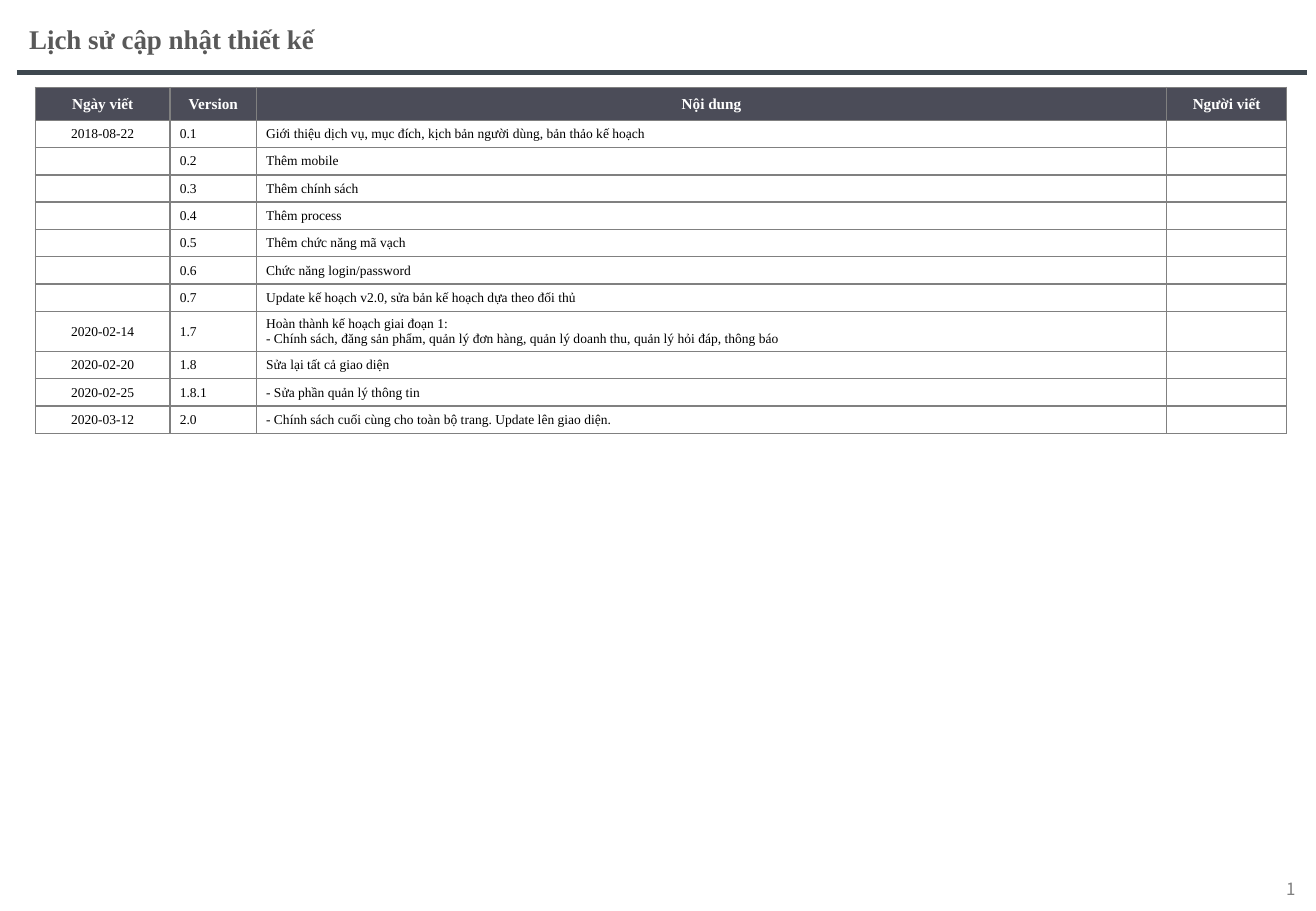
from lxml import etree
from pptx import Presentation
from pptx.dml.color import RGBColor
from pptx.enum.shapes import MSO_CONNECTOR
from pptx.enum.text import MSO_ANCHOR, MSO_AUTO_SIZE, PP_ALIGN
from pptx.oxml import parse_xml
from pptx.oxml.ns import nsdecls, qn
from pptx.util import Inches, Pt

SERIF = "Times New Roman"
SANS = "Noto Sans CJK KR"
HEADS = ["Ngày viết", "Version", "Nội dung", "Người viết"]
LOG = [
    ("2018-08-22", "0.1", "Giới thiệu dịch vụ, mục đích, kịch bản người dùng, bản thảo kế hoạch"),
    ("", "0.2", "Thêm mobile"),
    ("", "0.3", "Thêm chính sách"),
    ("", "0.4", "Thêm process"),
    ("", "0.5", "Thêm chức năng mã vạch"),
    ("", "0.6", "Chức năng login/password"),
    ("", "0.7", "Update kế hoạch v2.0, sửa bản kế hoạch dựa theo đối thủ"),
    ("2020-02-14", "1.7", "Hoàn thành kế hoạch giai đoạn 1:\n"
     "- Chính sách, đăng sản phẩm, quản lý đơn hàng, quản lý doanh thu, "
     "quản lý hỏi đáp, thông báo"),
    ("2020-02-20", "1.8", "Sửa lại tất cả giao diện"),
    ("2020-02-25", "1.8.1", "- Sửa phần quản lý thông tin"),
    ("2020-03-12", "2.0", "- Chính sách cuối cùng cho toàn bộ trang. Update lên giao diện."),
]
WIDTHS = [1.11, 0.71, 7.49, 0.99]
HEAD_H, TALL_H, TABLE_H = 0.27, 0.33, 2.85


def color(code):
    return RGBColor.from_string(code)


def style(font, size, code, bold=False, name=SERIF):
    font.name, font.size, font.bold = name, Pt(size), bold
    font.color.rgb = color(code)


def add_title(slide, left, top, width, height):
    title = slide.shapes.title
    title.left, title.top = Inches(left), Inches(top)
    title.width, title.height = Inches(width), Inches(height)
    frame = title.text_frame
    frame.text = "Lịch sử cập nhật thiết kế"
    frame.auto_size = MSO_AUTO_SIZE.NONE
    frame.vertical_anchor = MSO_ANCHOR.MIDDLE
    line = frame.paragraphs[0]
    line.alignment = PP_ALIGN.LEFT
    style(line.runs[0].font, 16, "595959", True)


def add_rule(slide, left, top, width):
    rule = slide.shapes.add_connector(
        MSO_CONNECTOR.STRAIGHT, Inches(left), Inches(top), Inches(left + width), Inches(top))
    rule.line.color.rgb = color("3E484F")
    rule.line.width = Pt(3)
    etree.SubElement(rule._element.spPr, qn("a:effectLst"))


def add_borders(cell, code, width):
    props = cell._tc.get_or_add_tcPr()
    for spot, side in enumerate(("lnL", "lnR", "lnT", "lnB")):
        props.insert(spot, parse_xml(
            f'<a:{side} {nsdecls("a")} w="{Pt(width)}"><a:solidFill>'
            f'<a:srgbClr val="{code}"/></a:solidFill></a:{side}>'))


def fill_cell(cell, text, head, center):
    size = 9 if head else 8
    cell.margin_left = cell.margin_right = Inches(0.08)
    cell.margin_top = cell.margin_bottom = Inches(0.04)
    cell.vertical_anchor = MSO_ANCHOR.MIDDLE
    cell.fill.solid()
    cell.fill.fore_color.rgb = color("4B4C58" if head else "FFFFFF")
    add_borders(cell, "808080", 1)
    cell.text_frame.text = text
    for line in cell.text_frame.paragraphs:
        line.alignment = PP_ALIGN.CENTER if center else PP_ALIGN.LEFT
        for run in line.runs:
            style(run.font, size, "FFFFFF" if head else "000000", head)
        if not line.runs:
            # Small end mark keeps empty cells from growing
            end = etree.SubElement(line._p, qn("a:endParaRPr"))
            end.set("sz", str(size * 100))


def add_log(slide, left, top):
    rows = [HEADS] + [(*entry, "") for entry in LOG]
    low = (TABLE_H - HEAD_H - TALL_H) / (len(LOG) - 1)
    table = slide.shapes.add_table(
        len(rows), len(HEADS), Inches(left), Inches(top),
        Inches(sum(WIDTHS)), Inches(TABLE_H)).table
    for column, width in zip(table.columns, WIDTHS):
        column.width = Inches(width)
    for r, row in enumerate(rows):
        tall = any("\n" in text for text in row)
        table.rows[r].height = Inches(HEAD_H if r == 0 else TALL_H if tall else low)
        for c, text in enumerate(row):
            fill_cell(table.cell(r, c), text, r == 0, r == 0 or c == 0)


def add_number(slide, left, top, width, height):
    box = slide.shapes.add_textbox(Inches(left), Inches(top), Inches(width), Inches(height))
    frame = box.text_frame
    frame.word_wrap = True
    frame.vertical_anchor = MSO_ANCHOR.MIDDLE
    line = frame.paragraphs[0]
    line.alignment = PP_ALIGN.RIGHT
    run = line.add_run()
    run.text = "1"
    style(run.font, 10, "808080", name=SANS)
    # Turn the run into a page number field
    run._r.tag = qn("a:fld")
    run._r.set("id", "{B6F15528-21DE-4FAA-801E-634DDDAF4B2B}")
    run._r.set("type", "slidenum")


def main():
    deck = Presentation()
    deck.slide_width, deck.slide_height = Inches(10.83), Inches(7.5)
    slide = deck.slides.add_slide(deck.slide_layouts[5])
    # Header
    add_title(slide, 0.14, 0.03, 8.7, 0.57)
    add_rule(slide, 0.14, 0.6, 10.62)
    # Update history
    add_log(slide, 0.29, 0.72)
    # Footer
    add_number(slide, 8.23, 7.12, 2.53, 0.4)
    deck.save("out.pptx")


if __name__ == "__main__":
    main()
